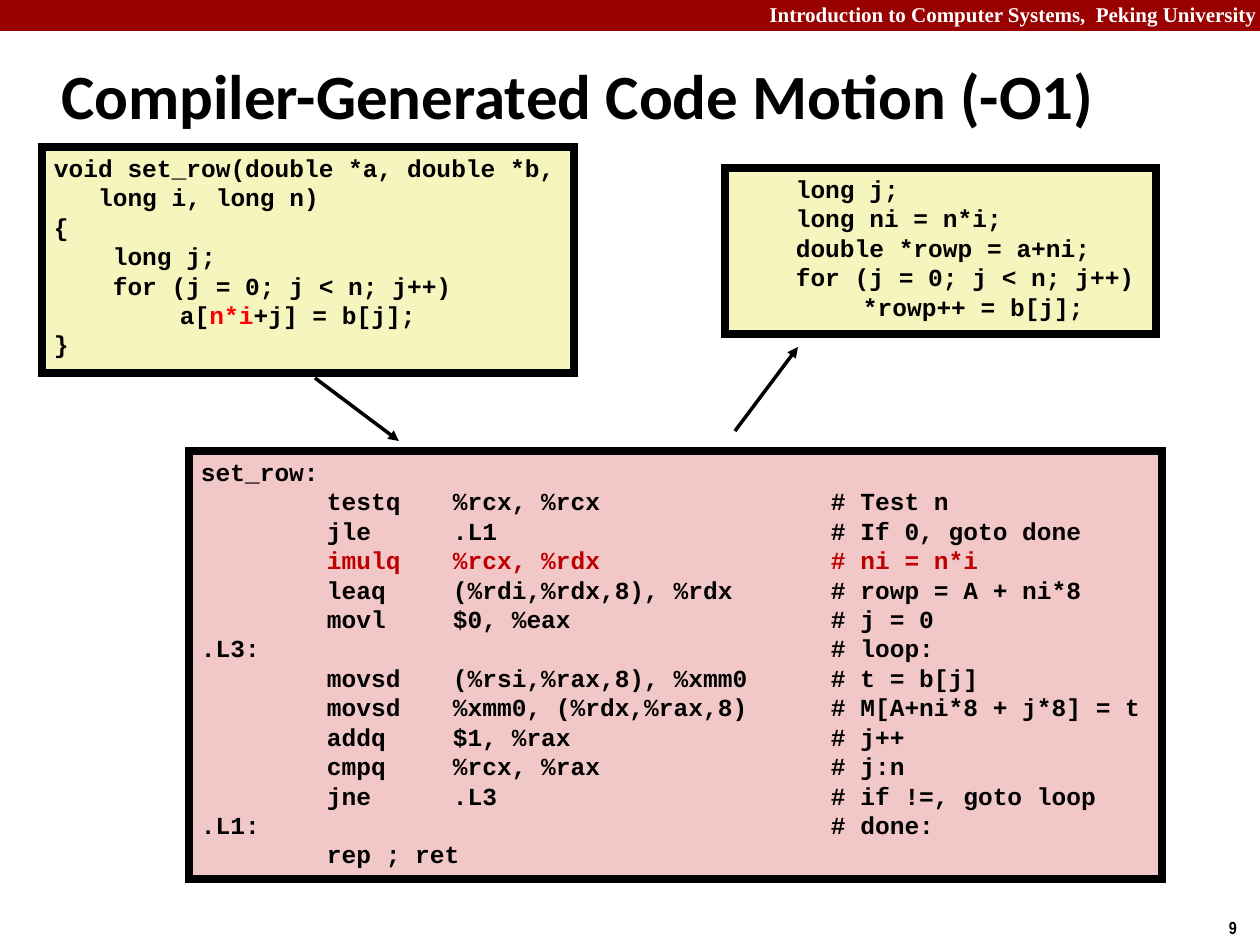
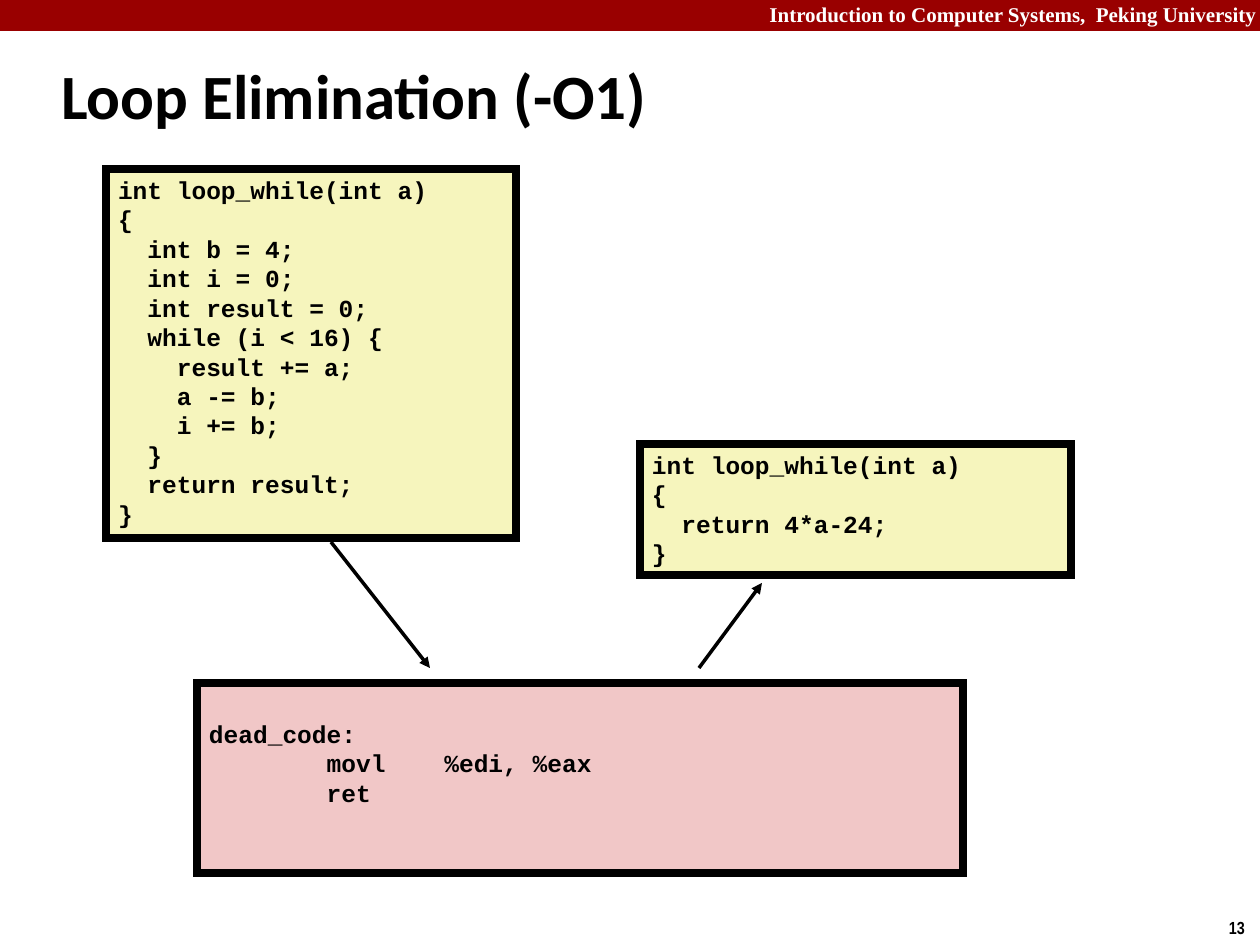
from lxml import etree
from pptx import Presentation
from pptx.dml.color import RGBColor
from pptx.enum.shapes import MSO_CONNECTOR, MSO_SHAPE
from pptx.enum.text import MSO_ANCHOR, MSO_AUTO_SIZE, PP_ALIGN
from pptx.oxml.ns import qn
from pptx.util import Emu, Pt

LEFT, RIGHT = PP_ALIGN.LEFT, PP_ALIGN.RIGHT
TOP, MIDDLE = MSO_ANCHOR.TOP, MSO_ANCHOR.MIDDLE
RECT, STRAIGHT = MSO_SHAPE.RECTANGLE, MSO_CONNECTOR.STRAIGHT
NO_AUTOFIT = MSO_AUTO_SIZE.NONE

THEME = {
    "color": {"band": "990000", "white": "FFFFFF", "ink": "000000",
              "source": "F6F5BD", "assembly": "F1C7C7",
              "red": "FF0000", "dark red": "C00000"},
    "font": {"title": {"name": "Calibri", "size": Pt(36), "bold": True},
             "code": {"name": "Courier New", "size": Pt(14), "bold": True},
             "course": {"name": "Times New Roman", "size": Pt(12), "bold": True},
             "number": {"name": "Arial Narrow", "size": Pt(10), "bold": True}},
    "border": Pt(4.5),
    "arrow": Pt(2),
}

# Content: a line is a string or a list of (text, colour) pieces
COURSE = "Introduction to Computer Systems,  Peking University"

SET_ROW = [
    "void set_row(double *a, double *b,",
    "   long i, long n)",
    "{",
    "    long j;",
    "    for (j = 0; j < n; j++)",
    [("\ta[", "ink"), ("n*i", "red"), ("+j] = b[j];", "ink")],
    "}",
]
SET_ROW_MOVED = [
    "    long j;",
    "    long ni = n*i;",
    "    double *rowp = a+ni;",
    "    for (j = 0; j < n; j++)",
    "\t*rowp++ = b[j];",
]
SET_ROW_ASSEMBLY = [
    "set_row:",
    "\ttestq\t%rcx, %rcx\t# Test n",
    "\tjle\t.L1\t# If 0, goto done",
    [("\timulq\t%rcx, %rdx\t# ni = n*i", "dark red")],
    "\tleaq\t(%rdi,%rdx,8), %rdx\t# rowp = A + ni*8",
    "\tmovl\t$0, %eax\t# j = 0",
    ".L3:\t\t\t# loop:",
    "\tmovsd\t(%rsi,%rax,8), %xmm0\t# t = b[j]",
    "\tmovsd\t%xmm0, (%rdx,%rax,8)\t# M[A+ni*8 + j*8] = t",
    "\taddq\t$1, %rax\t# j++",
    "\tcmpq\t%rcx, %rax\t# j:n",
    "\tjne\t.L3\t# if !=, goto loop",
    ".L1:\t\t\t# done:",
    "\trep ; ret",
]
LOOP_WHILE = [
    "int loop_while(int a)",
    "{",
    "  int b = 4;",
    "  int i = 0;",
    "  int result = 0;",
    "  while (i < 16) {",
    "    result += a;",
    "    a -= b;",
    "    i += b;",
    "  }",
    "  return result;",
    "}",
]
LOOP_WHILE_REDUCED = [
    "int loop_while(int a)",
    "{",
    "  return 4*a-24;",
    "}",
]
DEAD_CODE_ASSEMBLY = [
    "dead_code:",
    "        movl    %edi, %eax",
    "        ret",
]

# Boxes: fill, (left, top, width, height), top inset, lines
SLIDES = [
    {"title": "Compiler-Generated Code Motion (-O1)", "number": "9",
     "boxes": [("assembly", (189, 451, 973, 428), 6, SET_ROW_ASSEMBLY),
               ("source", (725, 168, 431, 166), 6, SET_ROW_MOVED),
               ("source", (42, 147, 532, 226), 6, SET_ROW)],
     "arrows": [(315, 378, 399, 441), (735, 431, 798, 347)]},
    {"title": "Loop Elimination (-O1)", "number": "13",
     "boxes": [("assembly", (197, 683, 766, 190), 36, DEAD_CODE_ASSEMBLY),
               ("source", (640, 444, 431, 131), 6, LOOP_WHILE_REDUCED),
               ("source", (106, 169, 410, 369), 6, LOOP_WHILE)],
     "arrows": [(331, 542, 430, 668), (699, 668, 762, 583)]},
]

# Layout in px, 126 to the inch
PX_PER_INCH = 126
PAGE = (1260, 945)
BAND = (0, 0, 1260, 31)
COURSE_BOX = (756, -4, 513, 38)
NUMBER_BOX = (1217, 911, 43, 34)
TITLE_BOX = (49, 42, 1113, 105)
TAB_STOPS = (126, 252, 630)
SIDE_INSET = 12


def px(n):
    return Emu(round(n * 914400 / PX_PER_INCH))


def rgb(name):
    return RGBColor.from_string(THEME["color"][name])


def set_all(target, values):
    for name, value in values.items():
        setattr(target, name, value)


def add_tabs(p):
    tabs = etree.SubElement(p._p.get_or_add_pPr(), qn("a:tabLst"))
    for stop in TAB_STOPS:
        etree.SubElement(tabs, qn("a:tab"), pos=str(px(stop)), algn="l")


def write(tf, lines, font, color="ink", align=LEFT, anchor=TOP, top_inset=6):
    set_all(tf, {"word_wrap": True, "auto_size": NO_AUTOFIT,
                 "vertical_anchor": anchor,
                 "margin_left": px(SIDE_INSET), "margin_right": px(SIDE_INSET),
                 "margin_top": px(top_inset), "margin_bottom": px(6)})
    for i, line in enumerate(lines):
        p = tf.add_paragraph() if i else tf.paragraphs[0]
        p.alignment = align
        pieces = [(line, color)] if isinstance(line, str) else line
        if any("\t" in text for text, _ in pieces):
            add_tabs(p)
        for text, piece_color in pieces:
            r = p.add_run()
            r.text = text
            set_all(r.font, THEME["font"][font])
            r.font.color.rgb = rgb(piece_color)


def add_rect(slide, box, fill):
    sp = slide.shapes.add_shape(RECT, *map(px, box))
    sp.shadow.inherit = False
    sp.fill.solid()
    sp.fill.fore_color.rgb = rgb(fill)
    sp.line.fill.background()
    return sp


def add_line_style(sp, width, tag, **attributes):
    sp.line.color.rgb = rgb("ink")
    sp.line.width = THEME[width]
    etree.SubElement(sp.element.spPr.find(qn("a:ln")), qn(tag), **attributes)


def add_code_box(slide, fill, box, top_inset, lines):
    sp = add_rect(slide, box, fill)
    add_line_style(sp, "border", "a:miter", lim="800000")
    write(sp.text_frame, lines, "code", top_inset=top_inset)


def add_arrow(slide, ends):
    c = slide.shapes.add_connector(STRAIGHT, *map(px, ends))
    add_line_style(c, "arrow", "a:tailEnd", type="triangle")
    etree.SubElement(c.element.spPr, qn("a:effectLst"))


def add_frame(slide, title, number):
    # Band, course name, page number and title
    add_rect(slide, BAND, "band")
    course = slide.shapes.add_textbox(*map(px, COURSE_BOX))
    write(course.text_frame, [COURSE], "course", "white", RIGHT)
    page = slide.shapes.add_textbox(*map(px, NUMBER_BOX))
    write(page.text_frame, [number], "number")
    heading = slide.shapes.title
    set_all(heading, dict(zip(("left", "top", "width", "height"), map(px, TITLE_BOX))))
    write(heading.text_frame, [title], "title", anchor=MIDDLE)


def main():
    prs = Presentation()
    prs.slide_width, prs.slide_height = map(px, PAGE)
    title_only = prs.slide_layouts[5]
    for content in SLIDES:
        slide = prs.slides.add_slide(title_only)
        add_frame(slide, content["title"], content["number"])
        for box in content["boxes"]:
            add_code_box(slide, *box)
        for ends in content["arrows"]:
            add_arrow(slide, ends)
    prs.save("out.pptx")


if __name__ == "__main__":
    main()
